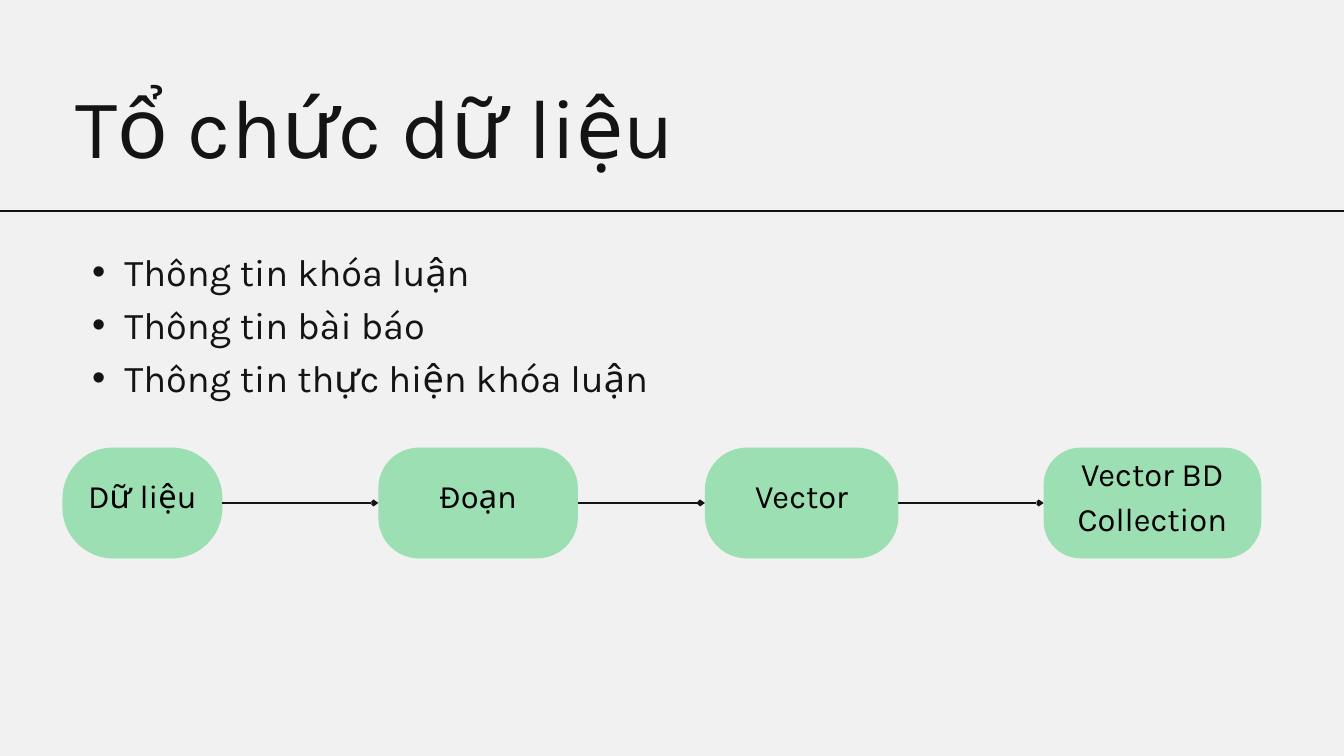
from dataclasses import dataclass
from itertools import pairwise

from lxml.etree import SubElement
from pptx import Presentation
from pptx.dml.color import RGBColor
from pptx.enum.shapes import MSO_CONNECTOR, MSO_SHAPE
from pptx.enum.text import MSO_ANCHOR, MSO_AUTO_SIZE, PP_ALIGN
from pptx.oxml.ns import qn
from pptx.util import Emu, Pt

EMU_PER_PX = 9144  # 100 px to the inch
LEFT_SITE, RIGHT_SITE = 1, 3


@dataclass(frozen=True)
class Theme:
    font: str = "Karla"
    paper: RGBColor = RGBColor(0xF1, 0xF1, 0xF1)
    ink: RGBColor = RGBColor(0x14, 0x14, 0x14)
    label: RGBColor = RGBColor(0, 0, 0)
    step: RGBColor = RGBColor(0x9B, 0xDF, 0xB2)
    title_size: float = 90
    title_leading: float = 108
    list_size: float = 40.6
    list_leading: float = 56.8
    step_size: float = 35
    step_leading: float = 49
    rule_width: float = 1.5
    arrow_width: float = 3


THEME = Theme()


def px(length):
    return Emu(length * EMU_PER_PX)


def set_values(target, values):
    for name, value in values.items():
        setattr(target, name, value)


def place(shape, box):
    set_values(shape, dict(zip(("left", "top", "width", "height"), map(px, box))))


def format_frame(frame, anchor, insets=(0, 0, 0, 0)):
    """Insets run left, top, right, bottom in px."""
    sides = ("margin_left", "margin_top", "margin_right", "margin_bottom")
    set_values(frame, {
        "word_wrap": True,
        "auto_size": MSO_AUTO_SIZE.NONE,
        "vertical_anchor": anchor,
        **dict(zip(sides, map(px, insets))),
    })


def format_paragraph(para, size, leading, color, align=PP_ALIGN.LEFT):
    set_values(para, {
        "alignment": align,
        "line_spacing": Pt(leading),
        "space_before": Pt(0),
        "space_after": Pt(0),
    })
    set_values(para.font, {"name": THEME.font, "size": Pt(size)})
    para.font.color.rgb = color


def add_bullet(para, margin, indent):
    properties = para._p.get_or_add_pPr()
    properties.set("marL", str(px(margin)))
    properties.set("indent", str(px(indent)))
    SubElement(properties, qn("a:buFont"), typeface="Arial")
    SubElement(properties, qn("a:buChar"), char="•")


def add_line(page, start, end, width):
    line = page.shapes.add_connector(MSO_CONNECTOR.STRAIGHT, *map(px, start + end))
    line.line.color.rgb = THEME.ink
    line.line.width = Pt(width)
    SubElement(line._element.spPr, qn("a:effectLst"))
    return line


def fill_title(page, box, text):
    title = page.shapes.title
    place(title, box)
    title.text_frame.text = text
    format_frame(title.text_frame, MSO_ANCHOR.TOP)
    format_paragraph(title.text_frame.paragraphs[0], THEME.title_size,
                     THEME.title_leading, THEME.ink)


def fill_list(page, box, items):
    body = page.placeholders[1]
    place(body, box)
    body.text_frame.text = "\n".join(items)
    format_frame(body.text_frame, MSO_ANCHOR.TOP)
    for para in body.text_frame.paragraphs:
        para.level = 1
        add_bullet(para, 96, -48)
        format_paragraph(para, THEME.list_size, THEME.list_leading, THEME.ink)


def add_step(page, box, text):
    """The wider the step, the smaller its corner radius."""
    width, height = box[2:]
    step = page.shapes.add_shape(MSO_SHAPE.ROUNDED_RECTANGLE, *map(px, box))
    step.adjustments[0] = 180 * 100 / width / height
    step.shadow.inherit = False
    step.fill.solid()
    step.fill.fore_color.rgb = THEME.step
    step.line.fill.background()
    step.text_frame.text = text
    # The label sits a little above the middle of its step.
    format_frame(step.text_frame, MSO_ANCHOR.MIDDLE, (0, -31, 0, 0))
    format_paragraph(step.text_frame.paragraphs[0], THEME.step_size,
                     THEME.step_leading, THEME.label, PP_ALIGN.CENTER)
    return step


def link_steps(page, source, target):
    arrow = add_line(page, (0, 0), (0, 0), THEME.arrow_width)
    arrow.begin_connect(source, RIGHT_SITE)
    arrow.end_connect(target, LEFT_SITE)
    SubElement(arrow.line._get_or_add_ln(), qn("a:tailEnd"),
               type="arrow", w="sm", len="sm")


def add_flow(page, box, steps):
    """Each step is its text, its offset from the left of the box and its width."""
    left, top, _, height = box
    shapes = [add_step(page, (left + offset, top, width, height), text)
              for text, offset, width in steps]
    for source, target in pairwise(shapes):
        link_steps(page, source, target)


def main():
    deck = Presentation()
    set_values(deck, {"slide_width": px(2000), "slide_height": px(1125)})
    page = deck.slides.add_slide(deck.slide_layouts[1])
    page.background.fill.solid()
    page.background.fill.fore_color.rgb = THEME.paper

    add_line(page, (-15, 314), (2015, 314), THEME.rule_width)
    fill_title(page, (112, 111, 1596, 151), "Tổ chức dữ liệu")
    fill_list(page, (89, 359, 911, 231), (
        "Thông tin khóa luận",
        "Thông tin bài báo",
        "Thông tin thực hiện khóa luận",
    ))
    add_flow(page, (93, 666, 1784, 165), (
        ("Dữ liệu", 0, 238),
        ("Đoạn", 470, 297),
        ("Vector", 956, 288),
        ("Vector BD Collection", 1460, 324),
    ))
    deck.save("out.pptx")


if __name__ == "__main__":
    main()
